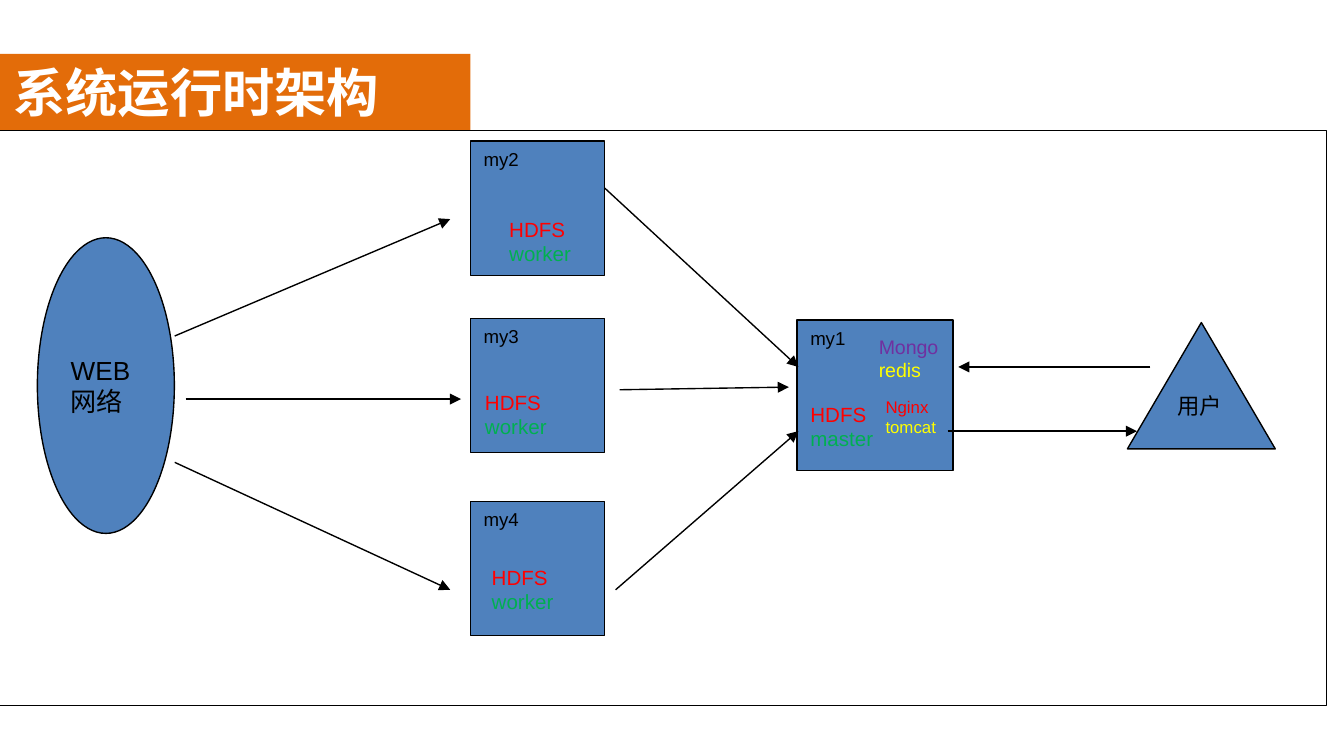
"""Build the system runtime architecture slide."""
from lxml import etree
from pptx import Presentation
from pptx.dml.color import RGBColor
from pptx.enum.shapes import MSO_CONNECTOR, MSO_SHAPE
from pptx.enum.text import MSO_ANCHOR, MSO_AUTO_SIZE, PP_ALIGN
from pptx.oxml.ns import qn
from pptx.util import Pt

RECT, OVAL, TRIANGLE = MSO_SHAPE.RECTANGLE, MSO_SHAPE.OVAL, MSO_SHAPE.ISOSCELES_TRIANGLE
STRAIGHT = MSO_CONNECTOR.STRAIGHT
TOP, MIDDLE = MSO_ANCHOR.TOP, MSO_ANCHOR.MIDDLE
LEFT, FIT = PP_ALIGN.LEFT, MSO_AUTO_SIZE.SHAPE_TO_FIT_TEXT

ORANGE = RGBColor(0xE3, 0x6C, 0x09)
BLUE = RGBColor(0x4F, 0x81, 0xBD)
WHITE = RGBColor(0xFF, 0xFF, 0xFF)
BLACK = RGBColor(0, 0, 0)
RED = RGBColor(0xFF, 0, 0)
GREEN = RGBColor(0, 0xB0, 0x50)
PURPLE = RGBColor(0x70, 0x30, 0xA0)
YELLOW = RGBColor(0xFF, 0xFF, 0)

TITLE = "系统运行时架构"
TITLE_BOX = (0, 28.8, 252, 41)
FRAME = (-0.7, 69.8, 711.4, 308.2)

NODES = [
    (RECT, (252, 75.6, 72, 72), "my2", 10, TOP),
    (RECT, (252, 170.6, 72, 72), "my3", 10, TOP),
    (RECT, (252, 268.6, 72, 72), "my4", 10, TOP),
    (RECT, (427, 171.4, 83.5, 80.6), "my1", 10, TOP),
    (TRIANGLE, (604, 172.8, 79.2, 67.7), "用户", 12, TOP),
    (OVAL, (20, 127.4, 73.4, 158.4), "WEB网络", 14, MIDDLE),
]

ARROWS = [
    (507.6, 231, 609.1, 231),
    (616.3, 196.6, 513.4, 196.6),
    (93.6, 180, 241.2, 117.4),
    (99.4, 213.8, 247, 213.8),
    (93.6, 247.7, 241.2, 316),
    (324, 100.8, 427.7, 196.6),
    (332, 208.8, 422.6, 207.4),
    (329.8, 316, 427.7, 231),
]

WORKER = [("HDFS", RED), ("worker", GREEN)]
SERVICES = [
    ((252.7, 205.2, 68.4, 33.8), 11, WORKER),
    ((265.7, 112.5, 68.4, 33.8), 11, WORKER),
    ((256.3, 299, 68.4, 33.8), 11, WORKER),
    ((427, 211.7, 68.4, 33.8), 11, [("HDFS", RED), ("master", GREEN)]),
    ((463.7, 175.7, 49, 32.4), 10.5, [("Mongo", PURPLE), ("redis", YELLOW)]),
    ((467.3, 208.8, 51.8, 28.8), 9, [("Nginx", RED), ("tomcat", YELLOW)]),
]


def pts(values):
    return [Pt(v) for v in values]


def write(tf, lines, size, anchor=TOP, font="Arial", bold=False):
    tf.text = "\n".join(text for text, _ in lines)
    tf.word_wrap = True
    tf.vertical_anchor = anchor
    for p, (_, color) in zip(tf.paragraphs, lines):
        p.alignment = LEFT
        for r in p.runs:
            r.font.name = font
            r.font.size = Pt(size)
            r.font.bold = bold
            r.font.color.rgb = color


def add_shape(s, kind, box, fill):
    sp = s.shapes.add_shape(kind, *pts(box))
    sp.shadow.inherit = False
    sp.fill.solid()
    sp.fill.fore_color.rgb = fill
    sp.line.color.rgb = BLACK
    sp.line.width = Pt(0.75)
    return sp


def add_arrow(s, ends):
    line = s.shapes.add_connector(STRAIGHT, *pts(ends))
    line.line.color.rgb = BLACK
    line.line.width = Pt(0.75)
    etree.SubElement(line.line._get_or_add_ln(), qn("a:tailEnd"), type="triangle")
    etree.SubElement(line._element.spPr, qn("a:effectLst"))


def main():
    prs = Presentation()
    prs.slide_width, prs.slide_height = Pt(720), Pt(405)
    s = prs.slides.add_slide(prs.slide_layouts[5])

    title = s.shapes.title
    title.left, title.top, title.width, title.height = pts(TITLE_BOX)
    title.fill.solid()
    title.fill.fore_color.rgb = ORANGE
    write(title.text_frame, [(TITLE, WHITE)], 28, MIDDLE, "Calibri", True)
    title.text_frame.auto_size = MSO_AUTO_SIZE.NONE

    add_shape(s, RECT, FRAME, WHITE)
    for kind, box, label, size, anchor in NODES:
        sp = add_shape(s, kind, box, BLUE)
        write(sp.text_frame, [(label, BLACK)], size, anchor)
    for ends in ARROWS:
        add_arrow(s, ends)
    for box, size, lines in SERVICES:
        tf = s.shapes.add_textbox(*pts(box)).text_frame
        write(tf, lines, size)
        tf.auto_size = FIT

    prs.save("out.pptx")


if __name__ == "__main__":
    main()
